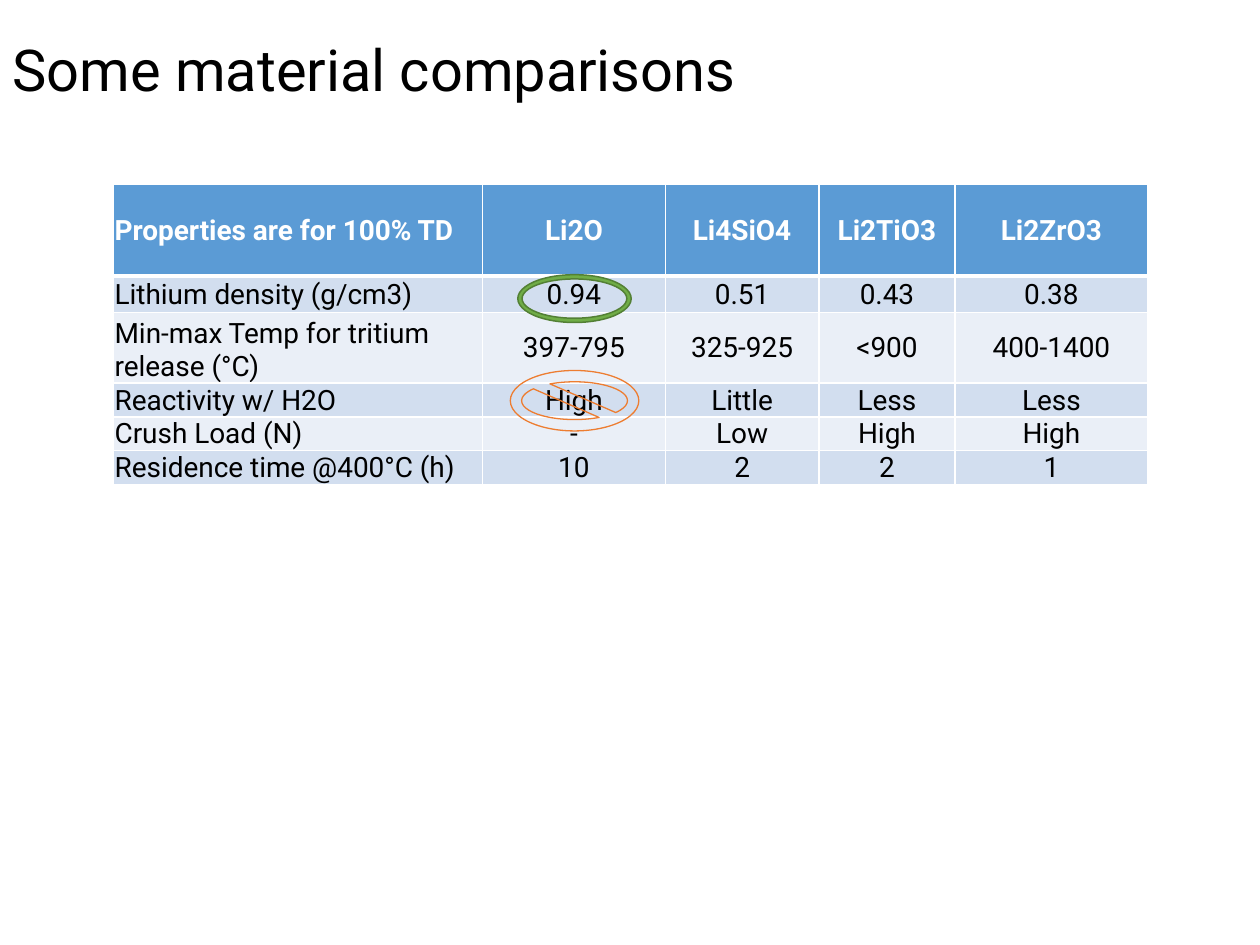
"""Build a slide comparing lithium ceramic materials."""
from pptx import Presentation
from pptx.dml.color import RGBColor
from pptx.enum.shapes import MSO_SHAPE
from pptx.enum.text import MSO_ANCHOR as Anchor, MSO_AUTO_SIZE as AutoSize, PP_ALIGN as Align
from pptx.oxml.ns import qn
from pptx.util import Inches, Pt
from lxml.etree import SubElement

COLORS = {
    "black": "000000",
    "white": "FFFFFF",
    "header": "5B9BD5",
    "dark_band": "D2DEEF",
    "light_band": "EAEFF7",
    "green": "70AD47",
    "dark_green": "538035",
    "orange": "ED7D31",
}
COLUMN_WIDTHS = [2.93, 1.45, 1.22, 1.08, 1.53]
ROW_HEIGHTS = [0.73, 0.29, 0.56, 0.21, 0.21, 0.21]
MATERIALS = [
    ["Properties are for 100% TD", "Li2O", "Li4SiO4", "Li2TiO3", "Li2ZrO3"],
    ["Lithium density (g/cm3)", "0.94", "0.51", "0.43", "0.38"],
    ["Min-max Temp for tritium release (°C)", "397-795", "325-925", "<900", "400-1400"],
    ["Reactivity w/ H2O", "High", "Little", "Less", "Less"],
    ["Crush Load (N)", "-", "Low", "High", "High"],
    ["Residence time @400°C (h)", "10", "2", "2", "1"],
]


class SlideBuilder:
    def __init__(self, slide, font_name="Roboto"):
        self.slide = slide
        self.font_name = font_name

    def color(self, name):
        return RGBColor.from_string(COLORS[name])

    def add_text(self, frame, text, size, color, align=Align.LEFT, bold=False):
        paragraph = frame.paragraphs[0]
        paragraph.alignment = align
        run = paragraph.add_run()
        run.text = text
        run.font.name = self.font_name
        run.font.size = Pt(size)
        run.font.bold = bold
        run.font.color.rgb = self.color(color)
        return paragraph

    def title(self, text, left, top, width, height):
        shape = self.slide.shapes.title
        shape.left, shape.top = Inches(left), Inches(top)
        shape.width, shape.height = Inches(width), Inches(height)
        frame = shape.text_frame
        frame.auto_size = AutoSize.NONE
        frame.word_wrap = True
        frame.vertical_anchor = Anchor.MIDDLE
        self.add_text(frame, text, 33, "black").line_spacing = 0.9

    def borders(self, cell, top, bottom):
        properties = cell._tc.get_or_add_tcPr()
        sides = {"a:lnL": 1, "a:lnR": 1, "a:lnT": top, "a:lnB": bottom}
        for index, (side, width) in enumerate(sides.items()):
            line = SubElement(properties, qn(side), w=str(Pt(width)))
            fill = SubElement(line, qn("a:solidFill"))
            SubElement(fill, qn("a:srgbClr"), val=COLORS["white"])
            properties.insert(index, line)

    def cell(self, cell, text, row, column):
        header = row == 0
        cell.margin_left = cell.margin_right = cell.margin_top = Inches(0.01)
        cell.margin_bottom = 0
        cell.vertical_anchor = Anchor.BOTTOM if column == 0 and row > 1 else Anchor.MIDDLE
        cell.fill.solid()
        band = "dark_band" if row % 2 else "light_band"
        cell.fill.fore_color.rgb = self.color("header" if header else band)
        self.borders(cell, top=3 if row == 1 else 1, bottom=3 if header else 1)
        self.add_text(cell.text_frame, text, 16, "white" if header else "black",
                      Align.CENTER if column else Align.LEFT, header)

    def table(self, rows, left, top, widths, heights):
        table = self.slide.shapes.add_table(
            len(heights), len(widths), Inches(left), Inches(top),
            Inches(sum(widths)), Inches(sum(heights))).table
        for column, width in zip(table.columns, widths):
            column.width = Inches(width)
        for row, height in zip(table.rows, heights):
            row.height = Inches(height)
        for row, texts in enumerate(rows):
            for column, text in enumerate(texts):
                self.cell(table.cell(row, column), text, row, column)

    def mark(self, kind, left, top, width, height, line, weight, fill=None, ring=None):
        shape = self.slide.shapes.add_shape(
            kind, Inches(left), Inches(top), Inches(width), Inches(height))
        shape.shadow.inherit = False
        shape.line.color.rgb = self.color(line)
        shape.line.width = Pt(weight)
        if fill:
            shape.fill.solid()
            shape.fill.fore_color.rgb = self.color(fill)
        else:
            shape.fill.background()
        if ring:
            shape.adjustments[0] = ring


def main():
    presentation = Presentation()
    presentation.slide_width, presentation.slide_height = Inches(10), Inches(7.5)
    builder = SlideBuilder(presentation.slides.add_slide(presentation.slide_layouts[5]))
    builder.title("Some material comparisons", 0, 0, 10, 1.15)
    builder.table(MATERIALS, 0.9, 1.46, COLUMN_WIDTHS, ROW_HEIGHTS)
    builder.mark(MSO_SHAPE.DONUT, 4.11, 2.18, 0.9, 0.38, "dark_green", 0.85, "green", 0.09)
    builder.mark(MSO_SHAPE.NO_SYMBOL, 4.05, 2.94, 1.02, 0.48, "orange", 0.75)
    presentation.save("out.pptx")


if __name__ == "__main__":
    main()
